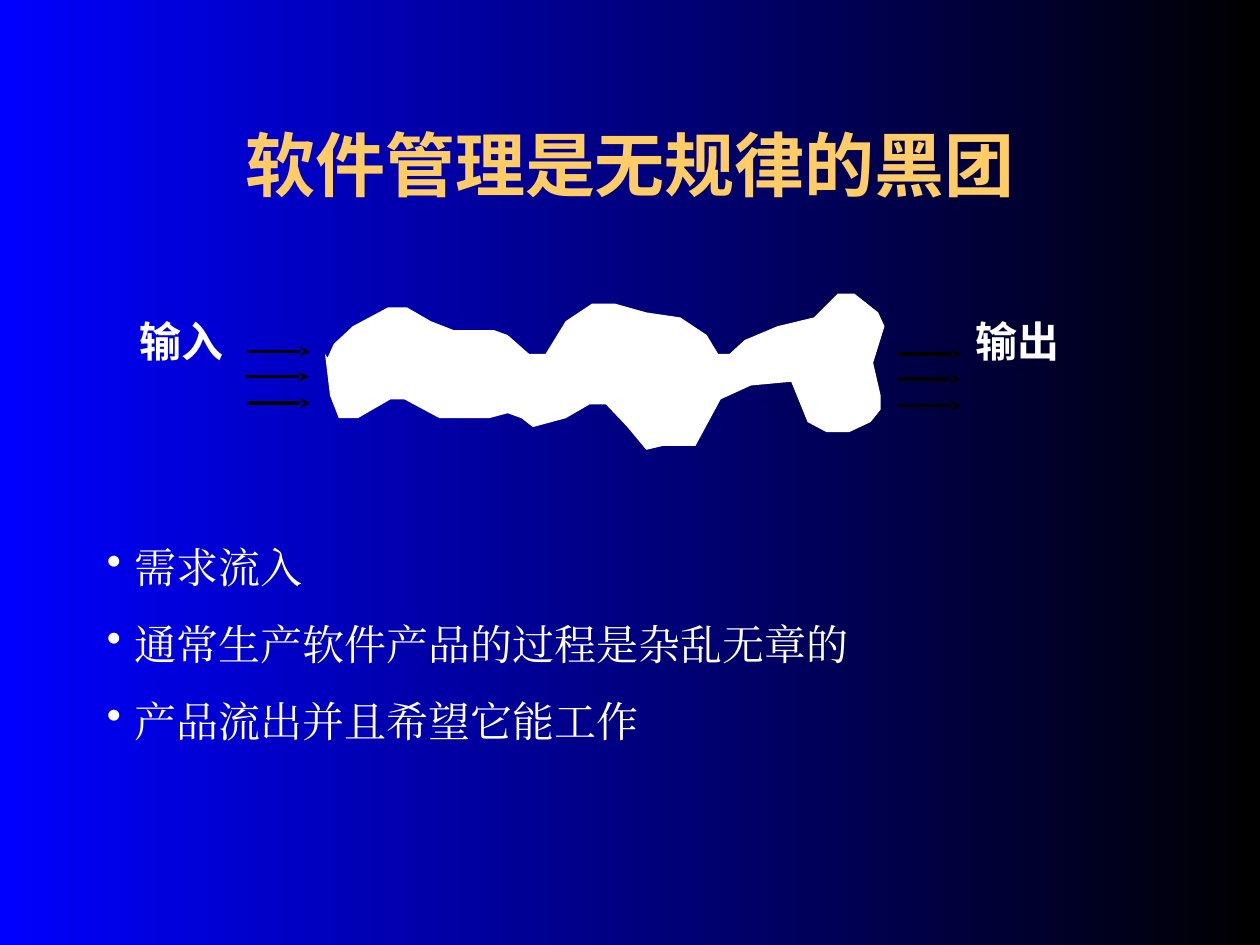
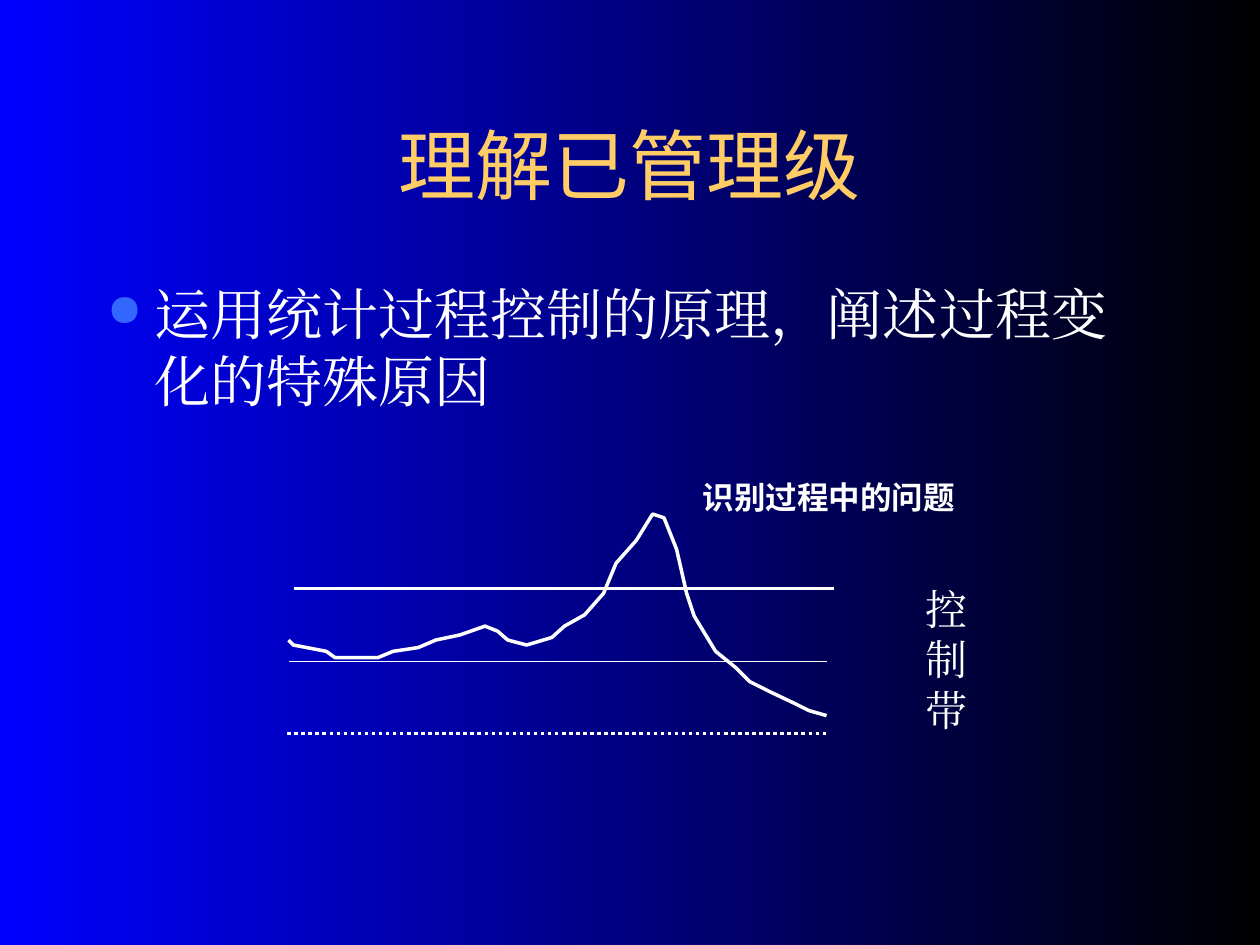
from lxml import etree
from pptx import Presentation, util as u
from pptx.dml.color import RGBColor
from pptx.enum import dml, shapes, text
from pptx.oxml.ns import qn

PX = 9144  # 100 px to the inch
COLORS = {"title": "FFCC66", "text": "FFFFFF", "bullet": "3366FF",
          "arrow": "000000", "dark": "000000", "bright": "0000FF"}
TITLE_BOX = (75, 67, 850, 125)


def add_text(slide, box, paragraphs, size, font="Arial", color="text", bold=False,
             align=text.PP_ALIGN.LEFT, anchor=text.MSO_ANCHOR.TOP, wrap=True,
             inset=(10, 5), before=0, spacing=None,
             bullet=None, bullet_color="text", bullet_size=100, hang=0):
    frame = slide.shapes.add_textbox(*[v * PX for v in box]).text_frame
    frame.word_wrap = wrap
    frame.vertical_anchor = anchor
    frame.margin_left = frame.margin_right = inset[0] * PX
    frame.margin_top = frame.margin_bottom = inset[1] * PX
    for i, line in enumerate(paragraphs):
        p = frame.paragraphs[0] if i == 0 else frame.add_paragraph()
        p.alignment = align
        if spacing:
            p.line_spacing = spacing
        if i:
            p.space_before = u.Pt(before)
        if bullet:
            props = p._p.get_or_add_pPr()
            props.set("marL", str(hang * PX))
            props.set("indent", str(-hang * PX))
            bu_color = etree.SubElement(props, qn("a:buClr"))
            etree.SubElement(bu_color, qn("a:srgbClr"), val=COLORS[bullet_color])
            etree.SubElement(props, qn("a:buSzPct"), val=str(bullet_size * 1000))
            etree.SubElement(props, qn("a:buChar"), char=bullet)
        run = p.add_run()
        run.text = line
        run.font.size = u.Pt(size)
        run.font.bold = bold
        run.font.color.rgb = RGBColor.from_string(COLORS[color])
        run.font.name = font
        etree.SubElement(run._r.get_or_add_rPr(), qn("a:ea"), typeface=font)


def add_line(slide, start, end, color, width, dash=None, head=None):
    line = slide.shapes.add_connector(
        shapes.MSO_CONNECTOR.STRAIGHT, *[v * PX for v in start + end])
    line.line.color.rgb = RGBColor.from_string(COLORS[color])
    line.line.width = u.Pt(width)
    if dash:
        line.line.dash_style = dash
    if head:
        etree.SubElement(line.line._get_or_add_ln(), qn("a:tailEnd"), type=head)
    etree.SubElement(line._element.spPr, qn("a:effectLst"))


prs = Presentation()
prs.slide_width = 1000 * PX
prs.slide_height = 750 * PX

# Shared background and title style
pages = []
for title, size, bold in [("软件管理是无规律的黑团", 40, True),
                          ("理解已管理级", 44, False)]:
    slide = prs.slides.add_slide(prs.slide_layouts[6])
    backdrop = slide.background.fill
    backdrop.gradient()
    backdrop.gradient_angle = 180
    for stop, position, shade in zip(backdrop.gradient_stops, (0, 1), ("dark", "bright")):
        stop.position = position
        stop.color.rgb = RGBColor.from_string(COLORS[shade])
    add_text(slide, TITLE_BOX, [title], size, color="title", bold=bold,
             align=text.PP_ALIGN.CENTER, anchor=text.MSO_ANCHOR.MIDDLE)
    pages.append(slide)
chaos, managed = pages

# Slide 1: what flows through the shapeless mass
add_text(chaos, (75, 425, 867, 172),
         ["需求流入", "通常生产软件产品的过程是杂乱无章的", "产品流出并且希望它能工作"],
         24, font="Times New Roman", before=15, bullet="•", hang=22)
for left, label in [(100, "输入"), (763, "输出")]:
    add_text(chaos, (left, 244, 89, 51), [label], 24, bold=True,
             wrap=False, inset=(11, 6))

# Outline of the mass: lower edge from the left, then upper edge back
mass_outline = [
    (258, 281), (262, 314), (269, 332), (284, 332), (310, 317), (321, 317),
    (349, 332), (388, 332), (403, 328), (414, 332), (423, 339), (449, 332),
    (468, 321), (481, 321), (498, 339), (513, 357), (526, 354), (552, 354),
    (572, 317), (596, 306), (628, 303), (641, 335), (656, 343), (674, 343),
    (691, 335), (699, 325), (699, 314), (693, 288), (702, 259), (697, 248),
    (678, 233), (665, 233), (646, 252), (617, 259), (591, 270), (579, 281),
    (570, 281), (561, 266), (540, 252), (513, 248), (488, 241), (470, 241),
    (449, 255), (433, 281), (420, 281), (403, 266), (392, 262), (360, 262),
    (342, 255), (323, 244), (308, 244), (280, 259), (265, 273), (260, 284)]
builder = chaos.shapes.build_freeform(*mass_outline[0], scale=PX)
builder.add_line_segments(mass_outline[1:], close=True)
mass = builder.convert_to_shape()
mass.shadow.inherit = False
mass.fill.solid()
mass.fill.fore_color.rgb = RGBColor.from_string(COLORS["text"])
mass.line.fill.background()

# Three arrows into the mass and three out of it
for left, top in [(196, 279), (713, 281)]:
    for shift, drop in [(0, 0), (-1, 20), (0, 41)]:
        add_line(chaos, (left + shift, top + drop), (left + shift + 50, top + drop),
                 "arrow", 2, head="stealth")

# Slide 2: statistical control
add_text(managed, (75, 217, 850, 450), ["运用统计过程控制的原理，阐述过程变化的特殊原因"],
         32, font="Times New Roman", bullet="●", bullet_color="bullet",
         bullet_size=80, hang=38)

# Upper limit, lower limit and mean
add_line(managed, (233, 467), (662, 467), "text", 2)
add_line(managed, (228, 582), (656, 582), "text", 2, dash=dml.MSO_LINE.ROUND_DOT)
add_line(managed, (229, 525), (656, 525), "text", 1)

# Process measurements over time
process_curve = [
    (229, 508), (233, 512), (259, 517), (266, 522), (300, 522), (312, 517),
    (332, 514), (346, 508), (365, 504), (385, 497), (395, 501), (403, 508),
    (418, 512), (438, 506), (448, 497), (464, 488), (479, 471), (489, 447),
    (505, 429), (518, 408), (527, 411), (537, 436), (545, 471), (551, 489),
    (568, 517), (584, 530), (595, 541), (611, 549), (630, 558), (642, 564),
    (656, 568)]
builder = managed.shapes.build_freeform(*process_curve[0], scale=PX)
builder.add_line_segments(process_curve[1:], close=False)
curve = builder.convert_to_shape()
curve.shadow.inherit = False
curve.fill.background()
curve.line.color.rgb = RGBColor.from_string(COLORS["text"])
curve.line.width = u.Pt(2)

# Labels of the peak and of the control band
add_text(managed, (548, 379, 220, 35), ["识别过程中的问题"], 18, bold=True,
         wrap=False, spacing=0.85)
add_text(managed, (725, 458, 67, 130), ["控制带"], 24, font="Times New Roman")

prs.save("out.pptx")
